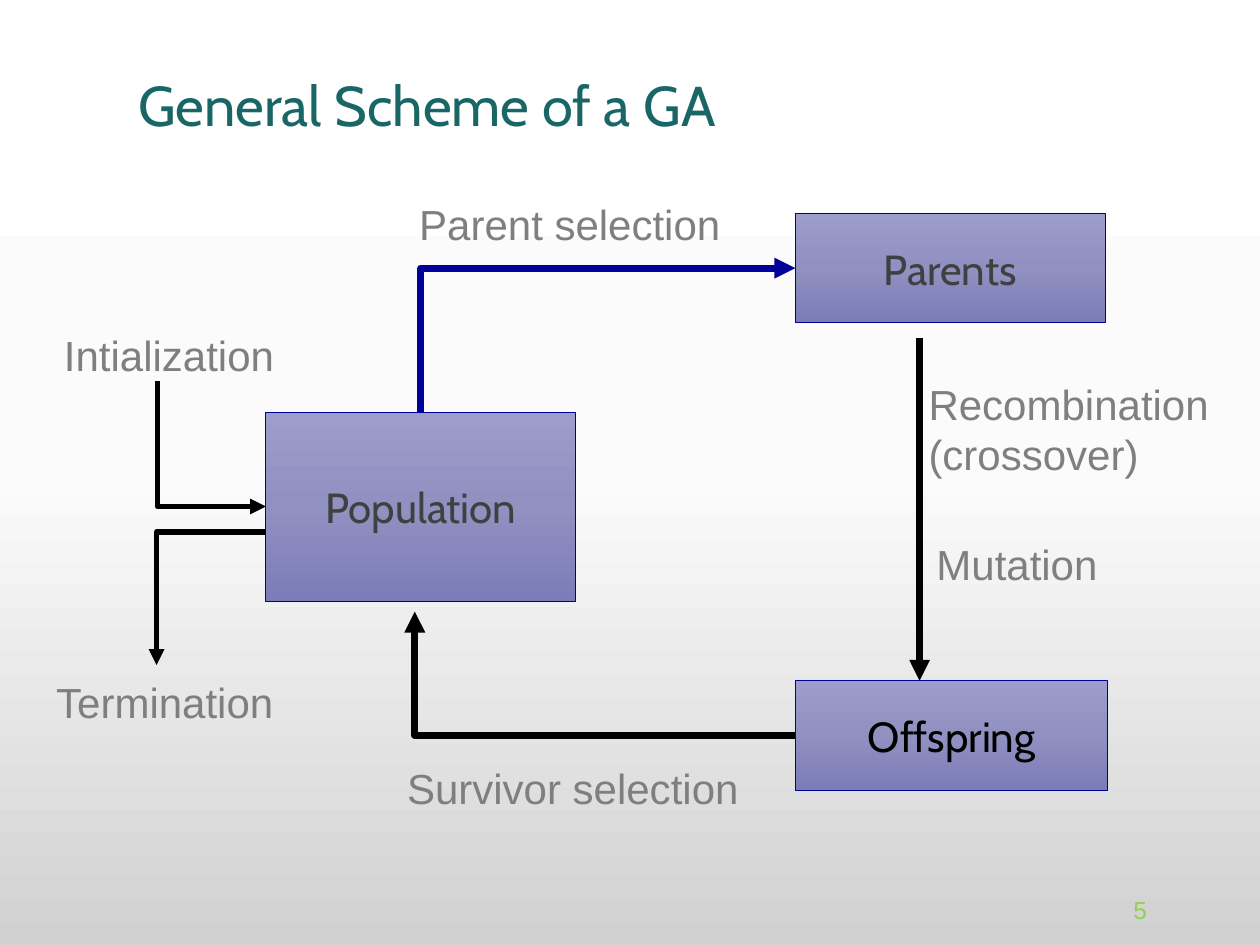
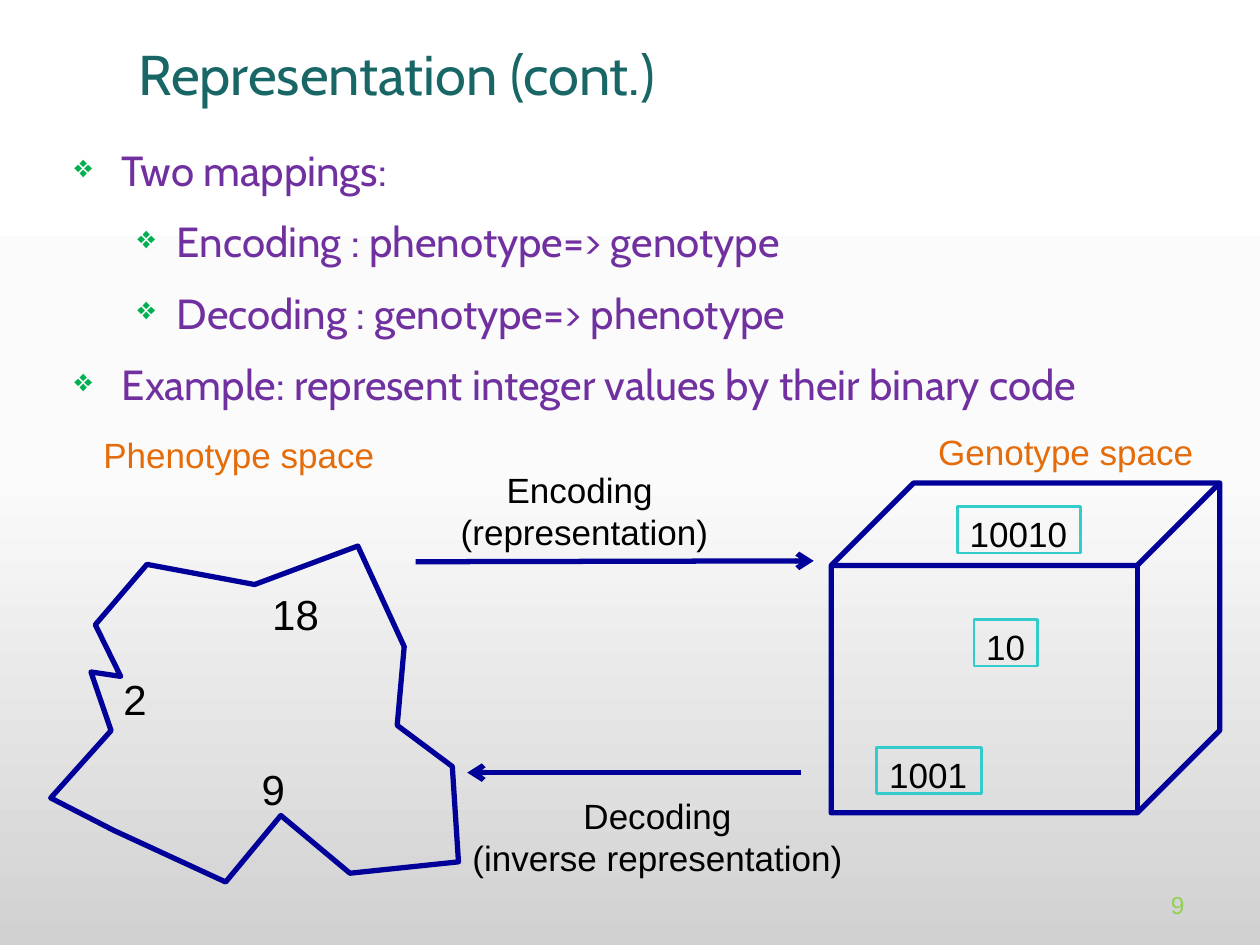
from dataclasses import dataclass

from lxml import etree
from pptx import Presentation
from pptx.dml.color import RGBColor
from pptx.enum import shapes, text
from pptx.oxml.ns import qn
from pptx.util import Pt


@dataclass(frozen=True)
class Theme:
    heading_font: str = "Cabin"
    label_font: str = "Arial"
    title_size: int = 32
    body_size: int = 24
    caption_size: int = 20
    number_size: int = 14
    teal: str = "196666"
    purple: str = "7030A0"
    bullet: str = "00B050"
    lime: str = "92D050"
    navy: str = "010199"
    black: str = "000000"
    dark: str = "404040"
    grey: str = "7F7F7F"
    orange: str = "E46C0A"
    cyan: str = "33CCCC"
    backdrop: tuple = ("FFFFFF", "FBFBFB", "D1D1D1")
    stage_fill: tuple = ("9D9DCB", "9090C1", "7C7CB8")


THEME = Theme()


@dataclass(frozen=True)
class Box:
    left: float
    top: float
    width: float
    height: float

    def inner(self, x, y, width, height):
        return Box(self.left + x, self.top + y, width, height)

    def point(self, x, y):
        return Pt(self.left + x), Pt(self.top + y)

    def place(self):
        return Pt(self.left), Pt(self.top), Pt(self.width), Pt(self.height)


def rgb(colour):
    return RGBColor.from_string(colour)


def fill_gradient(fill, owner, colours):
    fill.gradient()
    fill.gradient_angle = 270
    stops = next(owner.iter(qn("a:gsLst")))
    for stop in list(stops):
        stops.remove(stop)
    for position, colour in zip((0, 50000, 100000), colours):
        stop = etree.SubElement(stops, qn("a:gs"), pos=str(position))
        etree.SubElement(stop, qn("a:srgbClr"), val=colour)


def write(frame, words, size, colour, font=THEME.label_font, align=None,
          anchor=text.MSO_ANCHOR.TOP, wrap=False):
    frame.text = words
    frame.word_wrap = wrap
    frame.vertical_anchor = anchor
    for paragraph in frame.paragraphs:
        paragraph.alignment = align or text.PP_ALIGN.LEFT
        for run in paragraph.runs:
            run.font.name = font
            run.font.size = Pt(size)
            run.font.color.rgb = rgb(colour)


def add_text(slide, box, words, size, colour, **style):
    frame = slide.shapes.add_textbox(*box.place()).text_frame
    write(frame, words, size, colour, **style)
    return frame


def indent(paragraph, margin, first=0):
    properties = paragraph._p.get_or_add_pPr()
    properties.set("marL", str(Pt(margin)))
    properties.set("indent", str(Pt(first)))
    return properties


def outline(shape, colour, weight):
    shape.shadow.inherit = False
    shape.fill.background()
    shape.line.color.rgb = rgb(colour)
    shape.line.width = Pt(weight)


def add_outlined(slide, kind, box, colour, weight):
    shape = slide.shapes.add_shape(kind, *box.place())
    outline(shape, colour, weight)
    return shape


def add_arrow(slide, start, end, colour, weight, tip="tailEnd",
              tip_type="triangle", bent=False):
    kind = shapes.MSO_CONNECTOR.ELBOW if bent else shapes.MSO_CONNECTOR.STRAIGHT
    arrow = slide.shapes.add_connector(kind, *start, *end)
    arrow.line.color.rgb = rgb(colour)
    arrow.line.width = Pt(weight)
    properties = arrow._element.spPr
    if bent:
        properties.find(qn("a:prstGeom")).set("prst", "bentConnector2")
    etree.SubElement(properties.find(qn("a:ln")), qn(f"a:{tip}"), type=tip_type)
    etree.SubElement(properties, qn("a:effectLst"))
    return arrow


def add_page(deck, title, title_box, number, number_box):
    slide = deck.slides.add_slide(deck.slide_layouts[6])
    fill_gradient(slide.background.fill, slide._element, THEME.backdrop)
    heading = add_text(slide, title_box, title, THEME.title_size, THEME.teal,
                       font=THEME.heading_font,
                       anchor=text.MSO_ANCHOR.MIDDLE, wrap=True)
    indent(heading.paragraphs[0], 36)
    add_text(slide, number_box, number, THEME.number_size, THEME.lime,
             align=text.PP_ALIGN.RIGHT, anchor=text.MSO_ANCHOR.BOTTOM, wrap=True)
    return slide


def add_stage(slide, box, name, colour):
    stage = add_outlined(slide, shapes.MSO_SHAPE.RECTANGLE, box, THEME.navy, 0.5)
    fill_gradient(stage.fill, stage._element, THEME.stage_fill)
    write(stage.text_frame, name, THEME.body_size, colour,
          font=THEME.heading_font, align=text.PP_ALIGN.CENTER,
          anchor=text.MSO_ANCHOR.MIDDLE)
    return stage


def add_cycle(slide, box):
    population = add_stage(slide, box.inner(127, 125.5, 177, 108), "Population", THEME.dark)
    parents = add_stage(slide, box.inner(429.5, 12, 177, 62.5), "Parents", THEME.dark)
    offspring = add_stage(slide, box.inner(429.5, 279, 178.5, 62.5), "Offspring", THEME.black)

    selection = add_arrow(slide, box.point(429.5, 43.25), box.point(215.5, 125.5),
                          THEME.navy, 4, tip="headEnd", bent=True)
    selection.begin_connect(parents, 1)
    selection.end_connect(population, 0)
    survival = add_arrow(slide, box.point(429.5, 310.25), box.point(212, 239.5),
                         THEME.black, 4, bent=True)
    survival.begin_connect(offspring, 1)
    add_arrow(slide, box.point(500.5, 83), box.point(500.5, 279), THEME.black, 4)
    add_arrow(slide, box.point(127, 179.5), box.point(65, 108),
              THEME.black, 3, tip="headEnd", bent=True)
    add_arrow(slide, box.point(127, 194), box.point(64.5, 270),
              THEME.black, 3, bent=True)

    for step, x, y, width, height in (
        ("Parent selection", 207.5, 0, 188, 36),
        ("Survivor selection", 200.5, 322, 206, 36),
        ("Recombination\n(crossover)", 498.5, 102.5, 176.5, 65.5),
        ("Mutation", 503, 194, 107, 36),
        ("Intialization", 4.5, 74.5, 136, 36),
        ("Termination", 0, 273, 140, 36),
    ):
        add_text(slide, box.inner(x, y, width, height), step, THEME.body_size, THEME.grey)


def add_bullets(slide, box, points):
    frame = add_text(slide, box, "\n".join(words for _, words in points),
                     THEME.body_size, THEME.purple,
                     font=THEME.heading_font, wrap=True)
    for paragraph, (level, _) in zip(frame.paragraphs, points):
        paragraph.level = level
        paragraph.space_before = paragraph.space_after = Pt(6)
        properties = indent(paragraph, *((27, -27), (58.5, -22.5))[level])
        colour = etree.SubElement(properties, qn("a:buClr"))
        etree.SubElement(colour, qn("a:srgbClr"), val=THEME.bullet)
        etree.SubElement(properties, qn("a:buSzPct"), val="75000")
        etree.SubElement(properties, qn("a:buChar"), char="❖")


def add_phenotypes(slide, box):
    add_text(slide, box.inner(23, 0, 170.5, 31.5), "Phenotype space",
             THEME.caption_size, THEME.orange)
    corners = [box.point(x, y) for x, y in (
        (40, 142.5), (25.5, 113), (55, 78.5), (116.5, 90),
        (175.5, 68), (202, 125.5), (198, 170.5), (229.5, 194),
        (233, 248.5), (171, 255), (131.5, 222), (100, 260),
        (36, 230.5), (0, 212), (34.5, 173.5), (23, 140),
    )]
    border = slide.shapes.build_freeform(*corners[0])
    border.add_line_segments(corners[1:], close=True)
    outline(border.convert_to_shape(), THEME.navy, 3)
    for integer, x, y in (("18", 119.5, 88.5), ("2", 34.5, 137.5), ("9", 113.5, 188.5)):
        add_text(slide, box.inner(x, y, 64, 31), integer,
                 THEME.body_size, THEME.black, wrap=True)


def add_genotypes(slide, box):
    add_text(slide, box.inner(54, 0.5, 161, 31.5), "Genotype space",
             THEME.caption_size, THEME.orange)
    add_outlined(slide, shapes.MSO_SHAPE.CUBE, box.inner(0, 34, 222, 188.5), THEME.navy, 3)
    for code, x, y, width in (
        ("10010", 72, 47.5, 70.5), ("10", 81.5, 112, 36.5), ("1001", 26, 185, 60),
    ):
        tag = add_outlined(slide, shapes.MSO_SHAPE.RECTANGLE,
                           box.inner(x, y, width, 26.5), THEME.cyan, 1.5)
        write(tag.text_frame, code, THEME.caption_size, THEME.black)


def add_mappings(slide, box):
    add_arrow(slide, box.point(0.5, 57), box.point(228, 56.5),
              THEME.navy, 3, tip_type="arrow")
    add_arrow(slide, box.point(221, 177.5), box.point(30, 177.5),
              THEME.navy, 3, tip_type="arrow")
    for mapping, x, y, width in (
        ("Encoding \n(representation)", 18.5, 0, 157),
        ("Decoding\n(inverse representation)", 25, 186.5, 227.5),
    ):
        add_text(slide, box.inner(x, y, width, 47.5), mapping, THEME.caption_size,
                 THEME.black, align=text.PP_ALIGN.CENTER)


def main():
    deck = Presentation()
    deck.slide_width, deck.slide_height = Pt(720), Pt(540)

    scheme = add_page(deck, "General Scheme of a GA", Box(36, 23, 648, 73),
                      "5", Box(620, 492.5, 42.5, 39.5))
    add_cycle(scheme, Box(25, 110, 675, 358))

    representation = add_page(deck, "Representation (cont.)", Box(36, 12, 648, 60),
                              "9", Box(654, 492, 30, 37))
    add_bullets(representation, Box(35.5, 79, 648, 348), (
        (0, "Two mappings:"),
        (1, "Encoding : phenotype=> genotype"),
        (1, "Decoding : genotype=> phenotype"),
        (0, "Example: represent integer values by their binary code"),
    ))
    add_phenotypes(representation, Box(29, 244, 233, 260))
    add_genotypes(representation, Box(475, 242, 222, 223))
    add_mappings(representation, Box(237, 264, 253, 234))

    deck.save("out.pptx")


if __name__ == "__main__":
    main()
